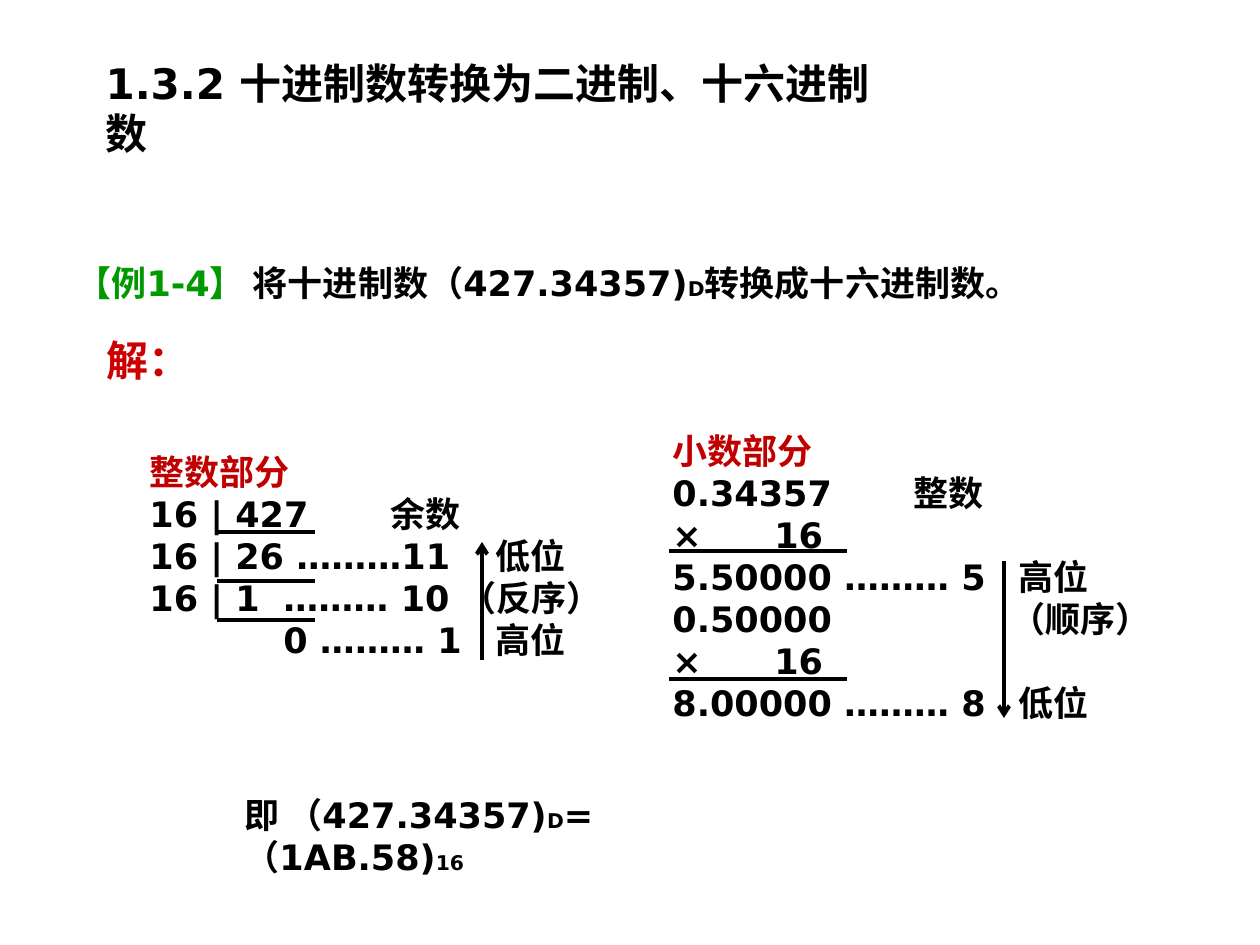
from pptx import Presentation
from pptx.dml.color import RGBColor
from pptx.enum.shapes import MSO_CONNECTOR
from pptx.enum.text import MSO_ANCHOR, MSO_AUTO_SIZE, PP_ALIGN
from pptx.oxml import parse_xml
from pptx.oxml.ns import nsdecls
from pptx.util import Emu, Pt

LINE = MSO_CONNECTOR.STRAIGHT
TOP, MIDDLE = MSO_ANCHOR.TOP, MSO_ANCHOR.MIDDLE
NO_FIT, LEFT = MSO_AUTO_SIZE.NONE, PP_ALIGN.LEFT
BLACK = RGBColor(0x00, 0x00, 0x00)
GREEN = RGBColor(0x00, 0x99, 0x00)
RED = RGBColor(0xCC, 0x00, 0x00)
DARK_RED = RGBColor(0xC0, 0x00, 0x00)
SANS, SERIF = "DejaVu Sans", "Times New Roman"
EMU_PER_PX = 914400 / 126


def px(n):
    """Turn pixels into EMU."""
    return Emu(round(n * EMU_PER_PX))


def add_run(p, text, color=BLACK, size=20, name=SANS, base=None, shadow=False):
    """Append one bold run, with optional subscript offset and shadow."""
    r = p.add_run()
    r.text = text
    for key, value in {"size": Pt(size), "bold": True, "name": name}.items():
        setattr(r.font, key, value)
    r.font.color.rgb = color
    rPr = r.font._element
    if base:
        rPr.set("baseline", str(base))
    if shadow:
        rPr.find("{*}latin").addprevious(parse_xml(
            f'<a:effectLst {nsdecls("a")}><a:outerShdw blurRad="38100" dist="38100" '
            'dir="2700000" algn="tl"><a:srgbClr val="808080"/></a:outerShdw></a:effectLst>'))


def set_frame(sp, box, anchor=TOP, wrap=True):
    """Place a text shape and return its formatted frame."""
    sp.left, sp.top, sp.width, sp.height = map(px, box)
    tf = sp.text_frame
    formats = {"word_wrap": wrap, "auto_size": NO_FIT, "vertical_anchor": anchor}
    for key, value in formats.items():
        setattr(tf, key, value)
    return tf


def add_text(shapes, box, runs, **frame):
    """Add a one-paragraph text box made of formatted runs."""
    p = set_frame(shapes.add_textbox(0, 0, 0, 0), box, **frame).paragraphs[0]
    for text, fmt in runs:
        add_run(p, text, **fmt)


def add_title(s, box):
    """Fill the title placeholder."""
    p = set_frame(s.shapes.title, box, MIDDLE).paragraphs[0]
    p.alignment = LEFT
    add_run(p, "1.3.2 ", size=24, shadow=True)
    add_run(p, "十进制数转换为二进制、十六进制数", size=24, name=SERIF, shadow=True)


def add_line(shapes, x1, y1, x2, y2, arrow=False):
    """Draw a black line, with an arrowhead at its end if asked."""
    ln = shapes.add_connector(LINE, px(x1), px(y1), px(x2), px(y2))
    ln.line.color.rgb = BLACK
    ln.line.width = Pt(2.25)
    if arrow:
        ln.line._get_or_add_ln().append(
            parse_xml(f'<a:tailEnd {nsdecls("a")} type="arrow"/>'))
    ln._element.spPr.append(parse_xml(f'<a:effectLst {nsdecls("a")}/>'))


def add_working(s, box, rows, tabs, rule_span, rule_ys, arrow):
    """Group tabbed working rows with their rules and reading arrow."""
    x, y = box[:2]
    shapes = s.shapes.add_group_shape().shapes
    tf = set_frame(shapes.add_textbox(0, 0, 0, 0), box)
    stops = "".join(f'<a:tab pos="{px(t)}" algn="l"/>' for t in tabs)
    for i, row in enumerate(rows):
        p = tf.add_paragraph() if i else tf.paragraphs[0]
        p._p.get_or_add_pPr().append(
            parse_xml(f'<a:tabLst {nsdecls("a")}>{stops}</a:tabLst>'))
        add_run(p, row, BLACK if i else DARK_RED)
    x1, x2 = rule_span
    for dy in rule_ys:
        add_line(shapes, x + x1, y + dy, x + x2, y + dy)
    dx, start, end = arrow
    add_line(shapes, x + dx, y + start, x + dx, y + end, arrow=True)


def main():
    """Build and save the slide."""
    prs = Presentation()
    prs.slide_width, prs.slide_height = px(1260), px(945)
    s = prs.slides.add_slide(prs.slide_layouts[5])
    sub = {"base": -25}
    add_title(s, (93, 76, 814, 63))
    add_text(s.shapes, (64, 255, 1142, 60), [
        ("【例1-4】 ", {"color": GREEN}), ("将十进制数（427.34357)", {}),
        ("D", sub), ("转换成十六进制数。", {})])
    add_text(s.shapes, (94, 328, 110, 63), [
        ("解：", {"color": RED, "size": 24, "name": SERIF, "shadow": True})],
        anchor=MIDDLE, wrap=False)
    add_working(
        s, (137, 444, 512, 223),
        ["整数部分", "16 | 427\t余数", "16 | 26 ………11\t低位",
         "16 | 1\t……… 10 （反序）", "\t0 ……… 1\t高位"],
        tabs=(134, 241, 346), rule_span=(80, 178), rule_ys=(88, 137, 176),
        arrow=(345, 216, 98))
    add_working(
        s, (660, 423, 512, 307),
        ["小数部分", "0.34357\t整数", "×\t16", "5.50000 ……… 5\t\t高位",
         "0.50000\t\t（顺序）", "×\t16", "8.00000 ……… 8\t\t低位"],
        tabs=(102, 241, 338, 346), rule_span=(9, 187), rule_ys=(128, 256),
        arrow=(344, 138, 295))
    add_text(s.shapes, (232, 787, 534, 60), [
        ("即 （427.34357)", {}), ("D", sub), ("=（1AB.58)", {}), ("16", sub)])
    prs.save("out.pptx")


if __name__ == "__main__":
    main()
